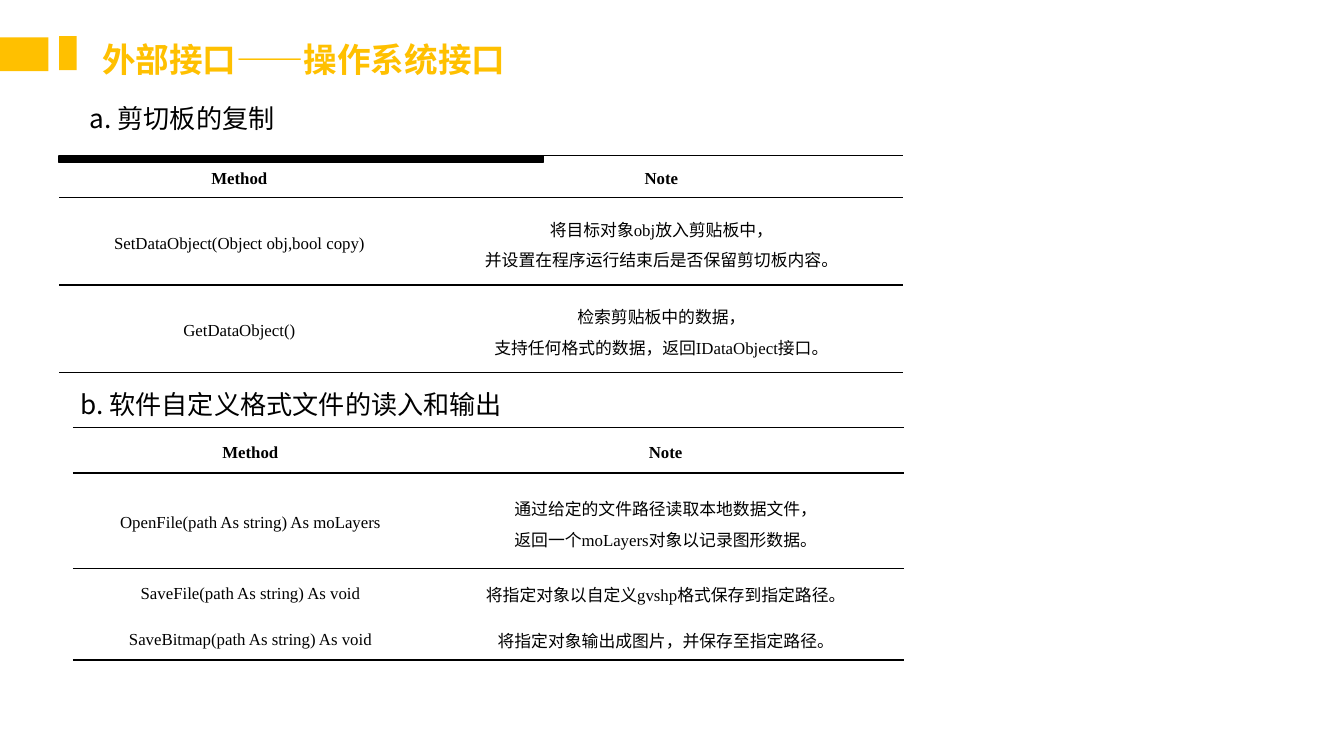
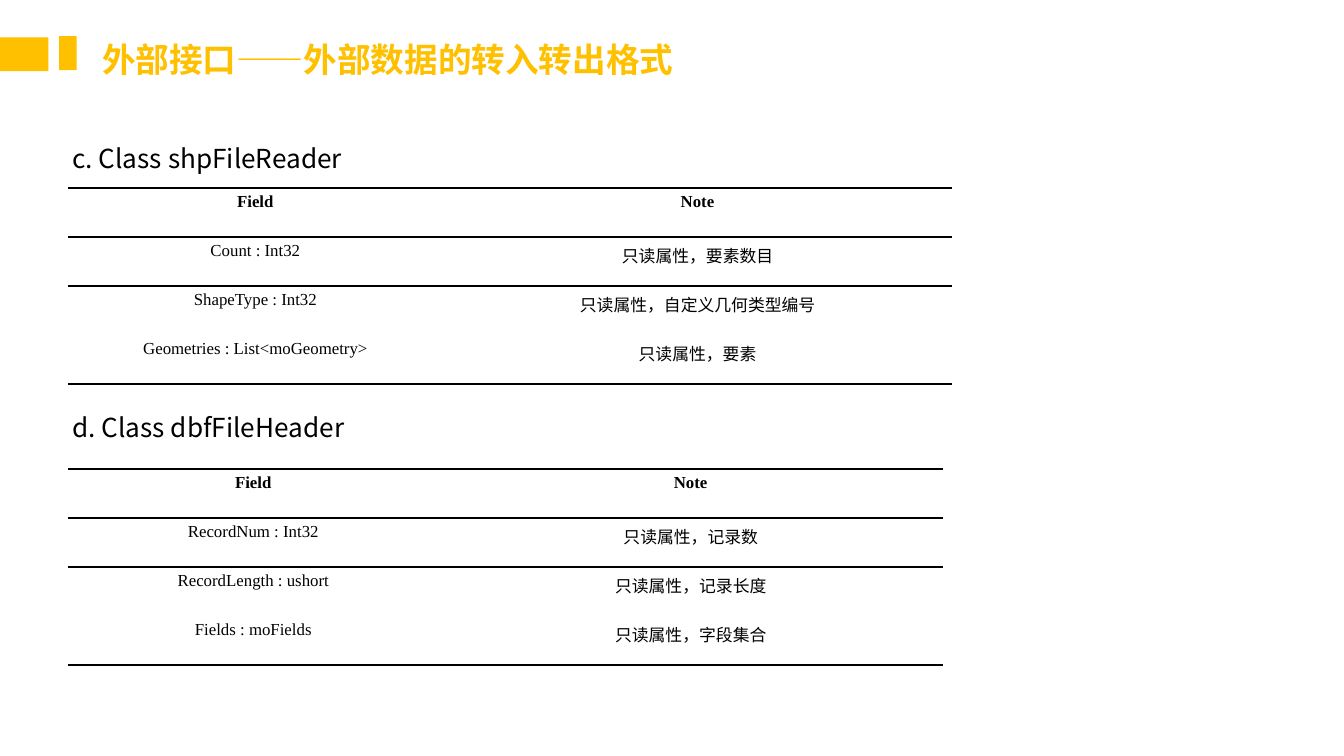
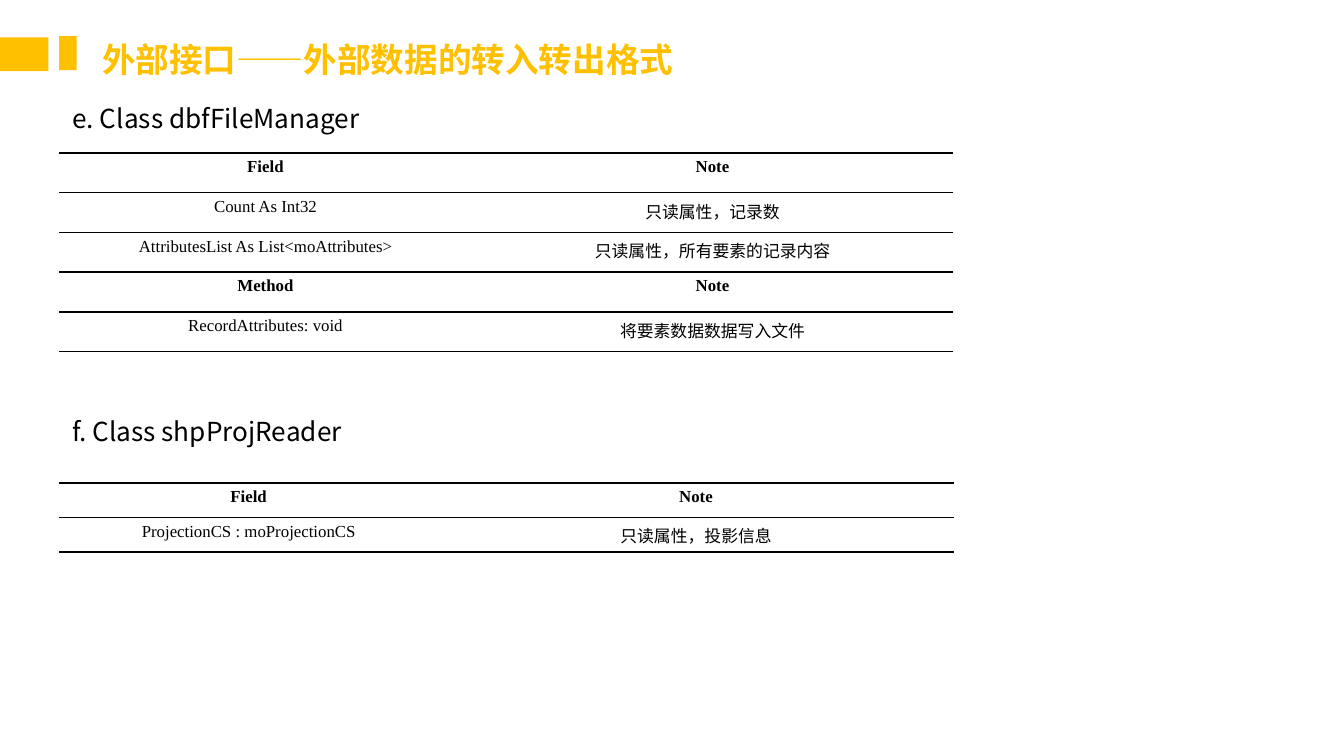
from pptx import Presentation
from pptx.dml.color import RGBColor
from pptx.enum.shapes import MSO_SHAPE
from pptx.enum.text import MSO_ANCHOR, MSO_AUTO_SIZE, PP_ALIGN
from pptx.oxml import parse_xml
from pptx.oxml.ns import nsdecls
from pptx.util import Pt

GOLD, BLACK = "FFC000", "000000"
PLAIN = "{2D5ABB26-0587-4C30-8999-92F81FD0307C}"
MID, TOP = MSO_ANCHOR.MIDDLE, MSO_ANCHOR.TOP

HEAD = {"size": Pt(18), "name": "Arial", "bold": True}
SUB = {"size": Pt(14), "name": "Noto Sans CJK SC", "bold": False}
BODY = {"size": Pt(9), "name": "Times New Roman"}
FRAME = {
    "margin_left": Pt(5), "margin_right": Pt(5),
    "margin_top": Pt(2.7), "margin_bottom": Pt(2.7),
    "word_wrap": False, "vertical_anchor": TOP,
    "auto_size": MSO_AUTO_SIZE.SHAPE_TO_FIT_TEXT,
}
CELL = {
    "margin_left": Pt(5), "margin_right": Pt(5),
    "margin_top": 0, "margin_bottom": 0,
}
OUTER = "外部接口——外部数据的转入转出格式"

SLIDES = [
    ("外部接口——操作系统接口", 229, [
        {"label": "a. 剪切板的复制", "box": (41, 51.2, 205),
         "grid": (31.7, 83.3), "cols": (193, 259.2), "tall": (22.6, 46.8, 46.8),
         "anchor": MID, "rules": (0, 1, 3), "rows": [
             ("Method", "Note"),
             ("SetDataObject(Object obj,bool copy)",
              "将目标对象obj放入剪贴板中，\n并设置在程序运行结束后是否保留剪切板内容。"),
             ("GetDataObject()",
              "检索剪贴板中的数据，\n支持任何格式的数据，返回IDataObject接口。")]},
        {"label": "b. 软件自定义格式文件的读入和输出", "box": (36, 204.5, 265.7),
         "grid": (39.1, 229), "cols": (190, 255), "tall": (24.5, 51.1, 24.5, 24.5),
         "anchor": MID, "rules": (0, 1, 4), "rows": [
             ("Method", "Note"),
             ("OpenFile(path As string) As moLayers",
              "通过给定的文件路径读取本地数据文件，\n返回一个moLayers对象以记录图形数据。"),
             ("SaveFile(path As string) As void",
              "将指定对象以自定义gvshp格式保存到指定路径。"),
             ("SaveBitmap(path As string) As void",
              "将指定对象输出成图片，并保存至指定路径。")]},
    ]),
    (OUTER, 319.7, [
        {"label": "c. Class shpFileReader", "box": (31.7, 72.7, 265.7),
         "grid": (36.3, 100.8), "cols": (200.9, 272.9), "tall": (26.25,) * 4,
         "anchor": TOP, "rules": (0, 1, 4), "rows": [
             ("Field", "Note"),
             ("Count : Int32", "只读属性，要素数目"),
             ("ShapeType : Int32", "只读属性，自定义几何类型编号"),
             ("Geometries : List<moGeometry>", "只读属性，要素")]},
        {"label": "d. Class dbfFileHeader", "box": (31.7, 216.7, 265.7),
         "grid": (36.3, 251.4), "cols": (198.7, 270), "tall": (26.25,) * 4,
         "anchor": TOP, "rules": (0, 1, 4), "rows": [
             ("Field", "Note"),
             ("RecordNum : Int32", "只读属性，记录数"),
             ("RecordLength : ushort", "只读属性，记录长度"),
             ("Fields : moFields", "只读属性，字段集合")]},
    ]),
    (OUTER, 319.7, [
        {"label": "e. Class dbfFileManager", "box": (31.7, 51.2, 265.7),
         "grid": (31.7, 81.9), "cols": (221, 258), "tall": (21.3,) * 5,
         "anchor": TOP, "rules": (0, 1, 3, 4, 5), "rows": [
             ("Field", "Note"),
             ("Count As Int32", "只读属性，记录数"),
             ("AttributesList As List<moAttributes>", "只读属性，所有要素的记录内容"),
             ("Method", "Note"),
             ("RecordAttributes: void", "将要素数据数据写入文件")]},
        {"label": "f. Class shpProjReader", "box": (31.7, 218.9, 265.7),
         "grid": (31.7, 258.8), "cols": (203, 276.3), "tall": (18.4,) * 2,
         "anchor": TOP, "rules": (0, 1, 2), "rows": [
             ("Field", "Note"),
             ("ProjectionCS : moProjectionCS", "只读属性，投影信息")]},
    ]),
]


def tint(part, code):
    if hasattr(part, "solid"):
        part.solid()
        part = part.fore_color
    else:
        part = part.color
    part.rgb = RGBColor.from_string(code)


def style(part, form):
    for name, value in form.items():
        setattr(part, name, value)


deck = Presentation()
deck.slide_width, deck.slide_height = Pt(720), Pt(405)

for text, width, blocks in SLIDES:
    slide = deck.slides.add_slide(deck.slide_layouts[5])
    title = slide.shapes.title
    style(title, {"left": Pt(49.7), "top": Pt(18), "width": Pt(width), "height": Pt(27.3)})
    title.text_frame.text = text
    style(title.text_frame, FRAME)
    para = title.text_frame.paragraphs[0]
    para.alignment = PP_ALIGN.LEFT
    style(para.runs[0].font, HEAD)
    tint(para.runs[0].font, GOLD)

    bars = [(0, 20, 26, 18.2, GOLD), (31.7, 19.4, 9.4, 18.2, GOLD)]
    for block in blocks:
        x, y, wide = block["box"]
        label = slide.shapes.add_textbox(Pt(x), Pt(y), Pt(wide), Pt(24.2))
        frame = label.text_frame
        frame.text = block["label"]
        style(frame, {"word_wrap": True, "auto_size": MSO_AUTO_SIZE.SHAPE_TO_FIT_TEXT})
        font = frame.paragraphs[0].runs[0].font
        style(font, SUB)
        tint(font, BLACK)

        x, y = block["grid"]
        cols, tall, rows = block["cols"], block["tall"], block["rows"]
        table = slide.shapes.add_table(
            len(rows), len(cols), Pt(x), Pt(y), Pt(sum(cols)), Pt(sum(tall))).table
        style(table, {"first_row": False, "horz_banding": False})
        table._tbl.tblPr[0].text = PLAIN
        for col, size in zip(table.columns, cols):
            col.width = Pt(size)
        for r, row in enumerate(rows):
            table.rows[r].height = Pt(tall[r])
            for c, words in enumerate(row):
                cell = table.cell(r, c)
                cell.text = words
                style(cell, CELL)
                cell.vertical_anchor = block["anchor"]
                cell.fill.background()
                for para in cell.text_frame.paragraphs:
                    style(para, {"alignment": PP_ALIGN.CENTER, "line_spacing": 1.25})
                    font = para.runs[0].font
                    style(font, BODY)
                    font.bold = row[1] == "Note"
                    tint(font, BLACK)
                for side, edge in (("lnB", r + 1), ("lnT", r)):
                    if edge in block["rules"]:
                        cell._tc.get_or_add_tcPr().insert(0, parse_xml(
                            f'<a:{side} {nsdecls("a")} w="12700"><a:solidFill>'
                            f'<a:srgbClr val="{BLACK}"/></a:solidFill></a:{side}>'))

    if slide == deck.slides[0]:
        bars.append((31.7, 83.5, 259.2, 3.6, BLACK))
    for x, y, wide, high, code in bars:
        bar = slide.shapes.add_shape(MSO_SHAPE.RECTANGLE, Pt(x), Pt(y), Pt(wide), Pt(high))
        bar.shadow.inherit = False
        tint(bar.fill, code)
        if code == BLACK:
            tint(bar.line, code)
            bar.line.width = Pt(0.75)
        else:
            bar.line.fill.background()

deck.save("out.pptx")
